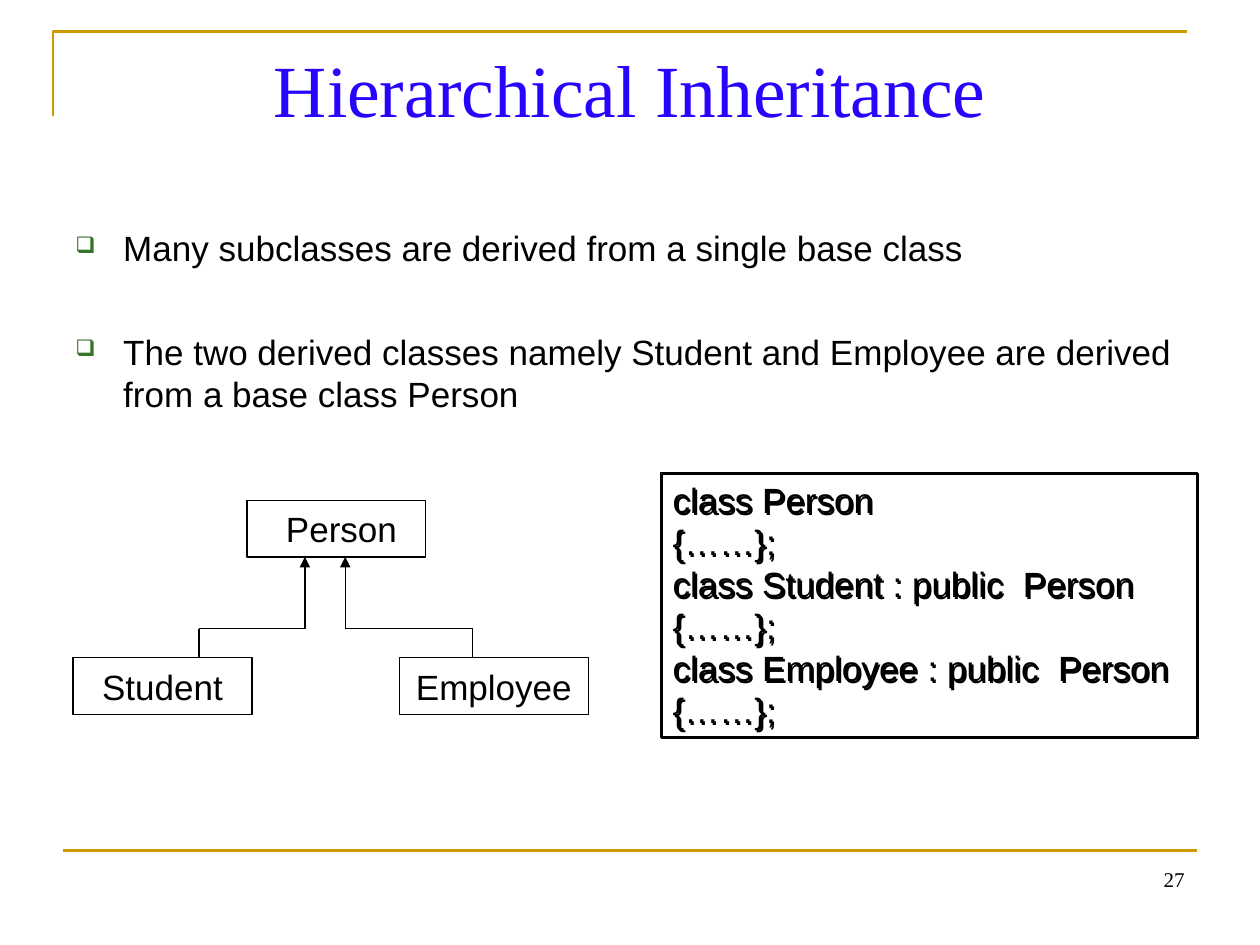
"""Build the Hierarchical Inheritance slide with its class diagram and code box."""
from lxml import etree
from pptx import Presentation, util as u
from pptx.dml.color import RGBColor
from pptx.enum import shapes, text
from pptx.oxml import ns

COLORS = {"gold": "CC9900", "title": "2704FC", "bullet": "35742A", "black": "000000", "white": "FFFFFF"}
SANS, SERIF = "Arial", "Times New Roman"


def style(para, size, name, color="black", align=text.PP_ALIGN.LEFT):
    para.alignment = align
    para.font.size = u.Pt(size)
    para.font.name = name
    para.font.color.rgb = RGBColor.from_string(COLORS[color])


def add_line(start, end, color="black", width=0.75, arrow=False):
    line = page.shapes.add_connector(shapes.MSO_CONNECTOR.STRAIGHT, *map(u.Inches, start + end))
    line.line.color.rgb = RGBColor.from_string(COLORS[color])
    line.line.width = u.Pt(width)
    properties = line._element.spPr
    if arrow:
        etree.SubElement(properties.find(ns.qn("a:ln")), ns.qn("a:tailEnd"), type="triangle")
    etree.SubElement(properties, ns.qn("a:effectLst"))


deck = Presentation()
deck.slide_width, deck.slide_height = u.Inches(10), u.Inches(7.5)
page = deck.slides.add_slide(deck.slide_layouts[5])

builder = page.shapes.build_freeform(u.Inches(0.42), u.Inches(0.92))
builder.add_line_segments([(u.Inches(0.42), u.Inches(0.25)), (u.Inches(9.42), u.Inches(0.25))], close=False)
corner = builder.convert_to_shape()
corner.shadow.inherit = False
corner.fill.background()
corner.line.color.rgb = RGBColor.from_string(COLORS["gold"])
corner.line.width = u.Pt(1.5)
add_line((0.5, 6.75), (9.5, 6.75), "gold", 1.5)

title = page.shapes.title
title.left, title.top, title.width, title.height = map(u.Inches, (0.5, 0.3, 9, 1.25))
title.text_frame.text = "Hierarchical Inheritance"
title.text_frame.vertical_anchor = text.MSO_ANCHOR.TOP
style(title.text_frame.paragraphs[0], 42, SERIF, "title", text.PP_ALIGN.CENTER)

body = page.shapes.add_textbox(*map(u.Inches, (0.5, 1.75, 9, 4.95)))
body.text_frame.word_wrap = True
body.text_frame.text = (
    "Many subclasses are derived from a single base class\n"
    "The two derived classes namely Student and Employee are derived from a base class Person"
)
for index, para in enumerate(body.text_frame.paragraphs):
    settings = para._p.get_or_add_pPr()
    settings.set("marL", str(u.Inches(0.38)))
    settings.set("indent", str(-u.Inches(0.38)))
    bullet_color = etree.SubElement(settings, ns.qn("a:buClr"))
    etree.SubElement(bullet_color, ns.qn("a:srgbClr"), val=COLORS["bullet"])
    etree.SubElement(settings, ns.qn("a:buSzPct"), val="65000")
    etree.SubElement(settings, ns.qn("a:buChar"), char="❑")
    style(para, 20, SANS)
    if index:
        para.space_before = u.Pt(35)

number = page.shapes.add_textbox(*map(u.Inches, (7.17, 6.83, 2.33, 0.52)))
number.text_frame.word_wrap = True
number.text_frame.text = "27"
style(number.text_frame.paragraphs[0], 12, SERIF, align=text.PP_ALIGN.RIGHT)

for name, left, top, width, inset in [
    ("Person", 1.96, 3.97, 1.42, 0.18),
    ("Student", 0.58, 5.22, 1.42, 0.1),
    ("Employee", 3.17, 5.22, 1.5, 0.1),
]:
    box = page.shapes.add_shape(shapes.MSO_SHAPE.RECTANGLE, *map(u.Inches, (left, top, width, 0.45)))
    box.shadow.inherit = False
    box.fill.solid()
    box.fill.fore_color.rgb = RGBColor.from_string(COLORS["white"])
    box.line.color.rgb = RGBColor.from_string(COLORS["black"])
    box.line.width = u.Pt(0.75)
    box.text_frame.margin_left = u.Inches(inset)
    box.text_frame.text = name
    style(box.text_frame.paragraphs[0], 20, SANS, align=text.PP_ALIGN.CENTER)

for parent_x, child_x in [(2.42, 1.58), (2.74, 3.75)]:
    add_line((parent_x, 4.99), (parent_x, 4.42), arrow=True)
    add_line((parent_x, 4.99), (child_x, 4.99))
    add_line((child_x, 4.99), (child_x, 5.22))

code = page.shapes.add_shape(shapes.MSO_SHAPE.RECTANGLE, *map(u.Inches, (5.24, 3.75, 4.26, 2.1)))
code.fill.background()
code.line.color.rgb = RGBColor.from_string(COLORS["black"])
code.line.width = u.Pt(0.75)
effects = etree.SubElement(code._element.spPr, ns.qn("a:effectLst"))
shadow = etree.SubElement(effects, ns.qn("a:outerShdw"), dist=str(u.Pt(1.4)), dir="2700000", algn="ctr", rotWithShape="0")
etree.SubElement(shadow, ns.qn("a:srgbClr"), val=COLORS["black"])
code.text_frame.word_wrap = True
code.text_frame.vertical_anchor = text.MSO_ANCHOR.MIDDLE
code.text_frame.auto_size = text.MSO_AUTO_SIZE.SHAPE_TO_FIT_TEXT
headers = ["class Person", "class Student : public  Person", "class Employee : public  Person"]
code.text_frame.text = "\n".join(f"{header}\n{{……}};" for header in headers)
for para in code.text_frame.paragraphs:
    style(para, 20, SANS)

deck.save("out.pptx")
